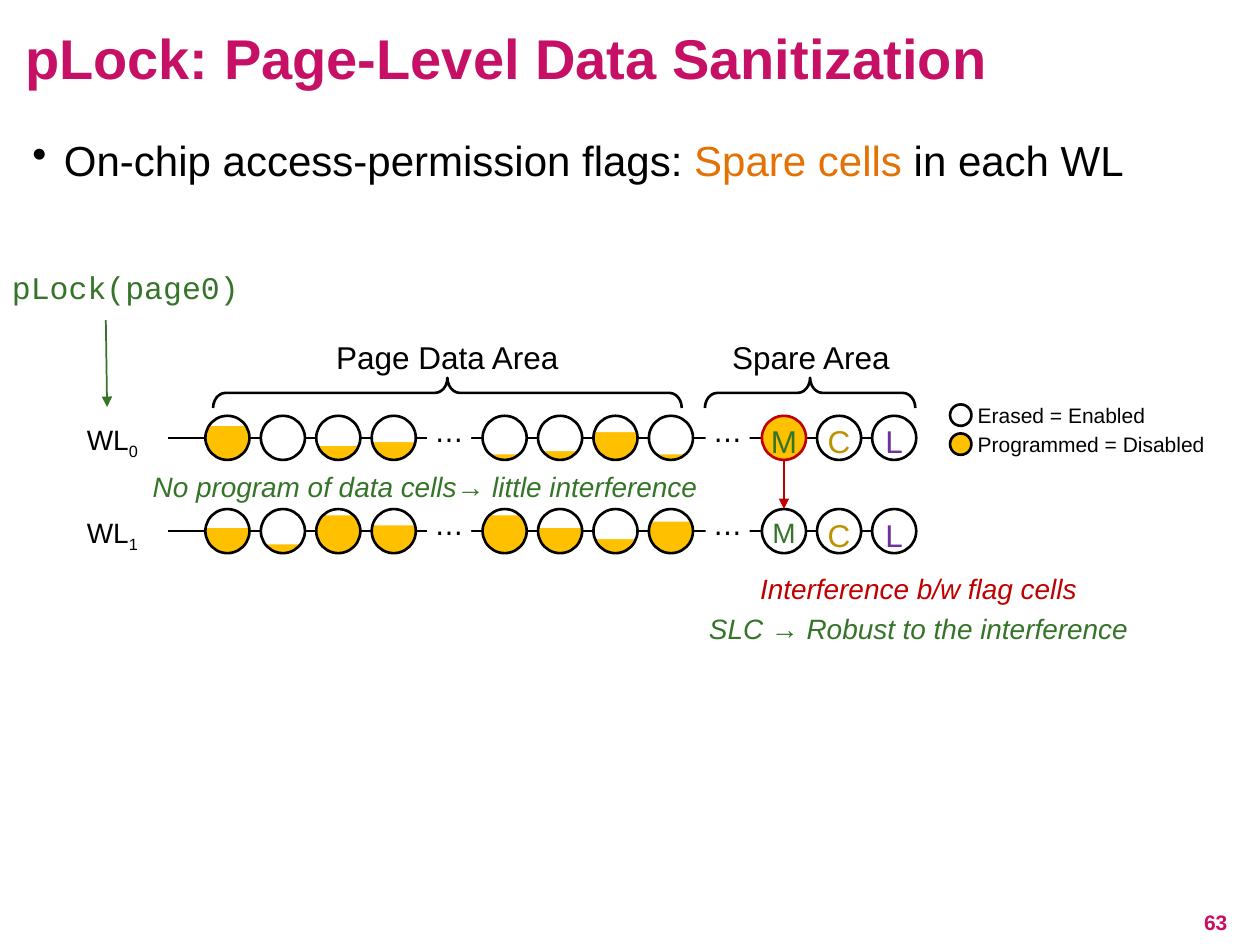
"""Build the slide on page-level data sanitization with pLock."""
from dataclasses import dataclass
from typing import Optional

import pptx
import pptx.dml.color
import pptx.enum.shapes
import pptx.enum.text
import pptx.oxml
import pptx.oxml.ns
import pptx.util

Pt = pptx.util.Pt
Shape = pptx.enum.shapes.MSO_SHAPE
Align = pptx.enum.text.PP_ALIGN
Anchor = pptx.enum.text.MSO_ANCHOR

BLACK, WHITE, GOLD = "000000", "FFFFFF", "FFC000"
PINK, ORANGE, GREEN, RED = "C61065", "E47103", "357429", "C00000"
BROWN, PURPLE = "BF9000", "7030A0"

CELL = 25.2
PITCH = 31.68
DATA_LEFT = 117.36
DATA_SLOTS = (0, 1, 2, 3, 5, 6, 7, 8)
FLAG_LEFT = 435.36
FLAG_PITCH = 31.5


@dataclass
class Span:
    text: str
    size: float
    color: str = BLACK
    font: str = "Arial"
    bold: bool = False
    italic: bool = False
    baseline: int = 0


@dataclass
class Label:
    left: float
    top: float
    width: float
    height: float
    spans: list[Span]
    align: Align = Align.LEFT
    anchor: Anchor = Anchor.TOP
    insets: tuple = (0, 0, 0, 0)


@dataclass
class Flag:
    letter: str
    size: float
    color: str
    edge: str = BLACK
    erased: float = CELL


@dataclass
class WordLine:
    index: str
    top: float
    erased: tuple
    flags: list[Flag]


@dataclass
class Brace:
    left: float
    width: float
    title: Label


def rgb(color: str) -> pptx.dml.color.RGBColor:
    return pptx.dml.color.RGBColor.from_string(color)


def write(shape, spans: list[Span], align=Align.LEFT, anchor=Anchor.TOP, insets=(0, 0, 0, 0)):
    frame = shape.text_frame
    frame.word_wrap = True
    frame.vertical_anchor = anchor
    frame.margin_left, frame.margin_top, frame.margin_right, frame.margin_bottom = map(Pt, insets)
    para = frame.paragraphs[0]
    para.alignment = align
    for span in spans:
        run = para.add_run()
        run.text = span.text
        run.font.size = Pt(span.size)
        run.font.name = span.font
        run.font.bold = span.bold
        run.font.italic = span.italic
        run.font.color.rgb = rgb(span.color)
        if span.baseline:
            run.font._element.set("baseline", str(span.baseline * 1000))
    return para


def add_label(page, label: Label):
    box = page.shapes.add_textbox(Pt(label.left), Pt(label.top), Pt(label.width), Pt(label.height))
    return write(box, label.spans, label.align, label.anchor, label.insets)


def add_shape(page, kind, left: float, top: float, width: float, height: float,
              fill: Optional[str] = None, edge: Optional[str] = None):
    shape = page.shapes.add_shape(kind, Pt(left), Pt(top), Pt(width), Pt(height))
    shape.shadow.inherit = False
    if fill:
        shape.fill.solid()
        shape.fill.fore_color.rgb = rgb(fill)
    else:
        shape.fill.background()
    if edge:
        shape.line.color.rgb = rgb(edge)
        shape.line.width = Pt(1.5)
    else:
        shape.line.fill.background()
    return shape


def add_line(page, start: tuple, end: tuple, color: str = BLACK, width: float = 1.5, arrow: bool = False):
    line = page.shapes.add_connector(pptx.enum.shapes.MSO_CONNECTOR.STRAIGHT, *map(Pt, start + end))
    line.line.color.rgb = rgb(color)
    line.line.width = Pt(width)
    if arrow:
        head = pptx.oxml.parse_xml(f'<a:tailEnd {pptx.oxml.ns.nsdecls("a")} type="triangle"/>')
        line.line._get_or_add_ln().append(head)
    line._element.spPr.append(pptx.oxml.parse_xml(f'<a:effectLst {pptx.oxml.ns.nsdecls("a")}/>'))


def add_cell(page, left: float, top: float, erased: float, edge: str = BLACK):
    add_shape(page, Shape.OVAL, left, top, CELL, CELL, GOLD)
    if erased:
        add_shape(page, Shape.RECTANGLE, left, top, CELL, erased, WHITE)
    return add_shape(page, Shape.OVAL, left, top, CELL, CELL, edge=edge)


def add_word_line(page, row: WordLine):
    middle = row.top + CELL / 2
    add_line(page, (95.76, middle), (396, middle))
    add_line(page, (396, middle), (523.44, middle))
    add_label(page, Label(49.68, row.top + 3.6, 45.36, 19.44,
                          [Span("WL", 16), Span(row.index, 16, baseline=-25)]))
    for slot, erased in zip(DATA_SLOTS, row.erased):
        add_cell(page, DATA_LEFT + slot * PITCH, row.top, erased)
    for left in (DATA_LEFT + 4 * PITCH, 403.2):
        gap = add_shape(page, Shape.OVAL, left, row.top, CELL, CELL, WHITE)
        write(gap, [Span("⋯", 16)], Align.CENTER, Anchor.MIDDLE)
    for slot, flag in enumerate(row.flags):
        cell = add_cell(page, FLAG_LEFT + slot * FLAG_PITCH, row.top, flag.erased, flag.edge)
        write(cell, [Span(flag.letter, flag.size, flag.color)], Align.CENTER)


def add_brace(page, brace: Brace):
    depth, middle = 17.28, 224.5
    shape = add_shape(page, Shape.RIGHT_BRACE, brace.left + (brace.width - depth) / 2,
                      middle - brace.width / 2, depth, brace.width, edge=BLACK)
    shape.rotation = 270
    shape.adjustments[0] = 0.41
    shape.adjustments[1] = 0.5
    add_label(page, brace.title)


def add_heading(page):
    title = add_label(page, Label(0, 0, 720, 64.08,
                                  [Span("pLock: Page-Level Data Sanitization", 32, PINK, bold=True)],
                                  anchor=Anchor.MIDDLE, insets=(14.4, 5.76, 14.4, 0)))
    title.line_spacing = 0.9
    body = add_label(page, Label(11.52, 76.32, 696.24, 424.08,
                                 [Span("On-chip access-permission flags: ", 24),
                                  Span("Spare cells ", 24, ORANGE), Span("in each WL", 24)],
                                 insets=(7.2, 3.6, 7.2, 3.6)))
    properties = body._p.get_or_add_pPr()
    properties.set("marL", str(Pt(18)))
    properties.set("indent", str(-Pt(18)))
    properties.append(pptx.oxml.parse_xml(f'<a:buChar {pptx.oxml.ns.nsdecls("a")} char="•"/>'))
    body.line_spacing = 0.9


def main():
    deck = pptx.Presentation()
    deck.slide_width, deck.slide_height = Pt(720), Pt(540)
    page = deck.slides.add_slide(deck.slide_layouts[6])
    add_heading(page)
    common = [Flag("C", 18, BROWN), Flag("L", 18, PURPLE)]
    rows = [WordLine("0", 237.6, (5.76, CELL, 17.28, 15.12, 22.1, 20.16, 9.36, 22.1),
                     [Flag("M", 18, GREEN, RED, 0)] + common),
            WordLine("1", 290.88, (10.8, 20.16, 3.6, 9.36, 3.6, 10.8, 17.28, 7.2),
                     [Flag("M", 16, GREEN)] + common)]
    for row in rows:
        add_word_line(page, row)
    for brace in (
        Brace(121.75, 267.84, Label(158.4, 192.96, 194.4, 21.6, [Span("Page Data Area", 18)], Align.CENTER)),
        Brace(402.84, 120.24, Label(413.28, 192.96, 100.08, 21.6, [Span("Spare Area", 18)], Align.CENTER)),
    ):
        add_brace(page, brace)
    for top, fill, meaning in ((231.12, WHITE, "Erased = Enabled"), (247.68, GOLD, "Programmed = Disabled")):
        add_shape(page, Shape.OVAL, 542.88, top, 12.24, 12.24, fill, BLACK)
        add_label(page, Label(555.84, top - 9.1, 158, 30.24, [Span(meaning, 12)],
                              anchor=Anchor.MIDDLE, insets=(2.88, 0, 0, 0)))
    add_label(page, Label(-20.16, 153.36, 194.4, 21.6,
                          [Span("pLock(page0) ", 18, GREEN, "Courier New")], Align.CENTER))
    for left, top, width, text, color in (
        (-39.6, 268.56, 566.64, "No program of data cells→ little interference ", GREEN),
        (329.76, 349.2, 387.36, "SLC → Robust to the interference", GREEN),
        (424.08, 326.88, 198.72, "Interference b/w flag cells", RED),
    ):
        add_label(page, Label(left, top, width, 19.44, [Span(text, 16, color, italic=True)],
                              Align.CENTER, insets=(2.88, 0, 0, 0)))
    add_line(page, (60.48, 182.88), (61.2, 232.56), GREEN, 1, True)
    flag_middle = FLAG_LEFT + CELL / 2
    add_line(page, (flag_middle, rows[0].top + CELL), (flag_middle, rows[1].top), RED, 1, True)
    add_label(page, Label(547.2, 512.64, 161.28, 28.8, [Span("63", 12, PINK, bold=True)],
                          Align.RIGHT, Anchor.MIDDLE, (7.2, 3.6, 7.2, 3.6)))
    deck.save("out.pptx")


if __name__ == "__main__":
    main()
